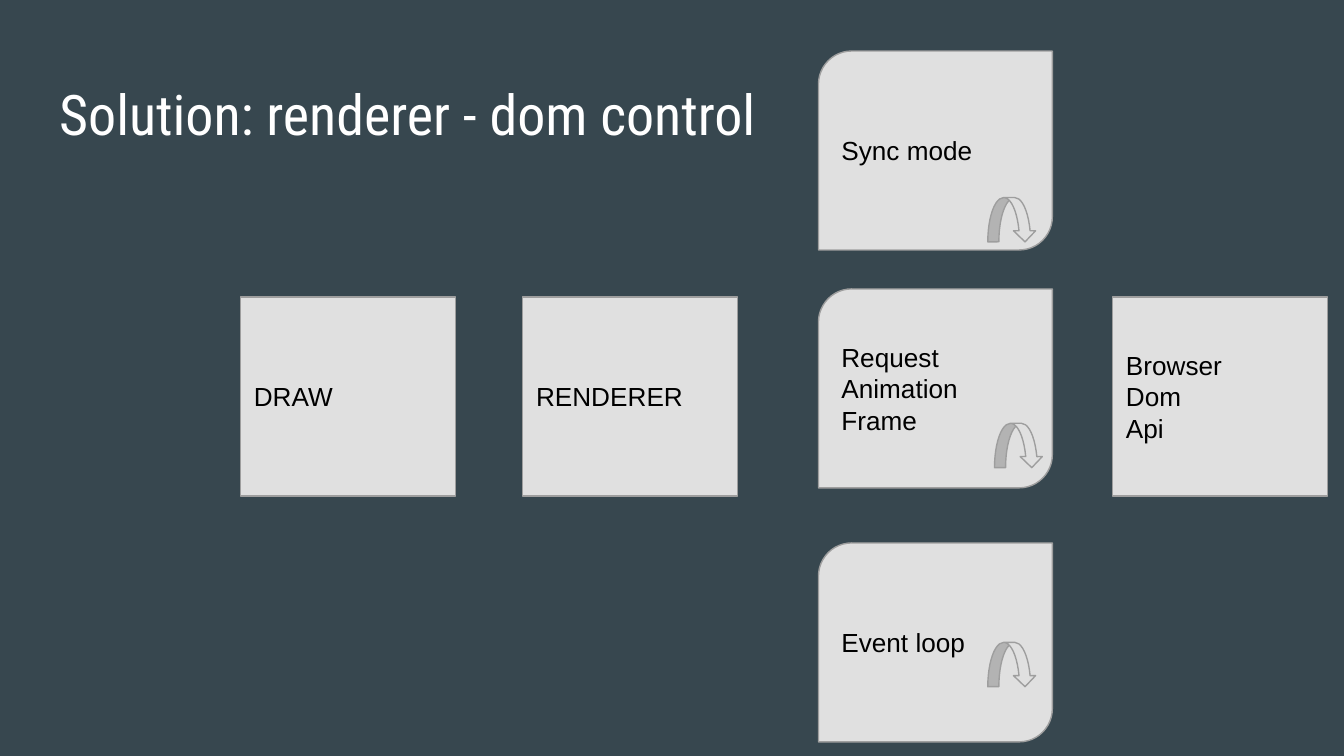
from pptx import Presentation
from pptx.dml.color import RGBColor
from pptx.enum.shapes import MSO_SHAPE as Shape
from pptx.enum.text import MSO_ANCHOR as Anchor, MSO_AUTO_SIZE as AutoSize, PP_ALIGN as Align
from pptx.util import Inches, Pt

BACKGROUND = RGBColor(0x37, 0x47, 0x4F)
BOX_FILL = RGBColor(0xE0, 0xE0, 0xE0)
BOX_LINE = RGBColor(0x9E, 0x9E, 0x9E)
WHITE = RGBColor(0xFF, 0xFF, 0xFF)
BLACK = RGBColor(0x00, 0x00, 0x00)

BOX_HEIGHT = 1.48
STAGE_WIDTH = 1.6
MODE_WIDTH = 1.74
MODE_LEFT = 6.09
STAGE_TOP = 2.21

STAGES = [(1.79, "DRAW"), (3.89, "RENDERER"), (8.28, "Browser\nDom \vApi")]
MODES = [
    (0.38, "Sync mode", 1.26, 1.09),
    (2.15, "Request\vAnimation\vFrame", 1.31, 1.0),
    (4.04, "Event loop", 1.26, 0.74),
]


def format_text(text_frame, anchor, font_name, size, color):
    """Set insets, anchor and font for all the paragraphs of a frame."""
    text_frame.word_wrap = True
    text_frame.auto_size = AutoSize.NONE
    text_frame.vertical_anchor = anchor
    text_frame.margin_left = text_frame.margin_right = Inches(0.1)
    text_frame.margin_top = text_frame.margin_bottom = Inches(0.1)
    for paragraph in text_frame.paragraphs:
        paragraph.alignment = Align.LEFT
        paragraph.font.name = font_name
        paragraph.font.size = Pt(size)
        paragraph.font.color.rgb = color


def add_title(slide, left, top, width, height):
    """Place the slide title in the title placeholder."""
    title = slide.shapes.title
    title.left, title.top = Inches(left), Inches(top)
    title.width, title.height = Inches(width), Inches(height)
    title.text_frame.text = "Solution: renderer - dom control"
    format_text(title.text_frame, Anchor.TOP, "Roboto Condensed", 30, WHITE)


def add_box(slide, kind, left, top, width, height, text=""):
    """Add a grey outlined shape, with a label if text is given."""
    shape = slide.shapes.add_shape(
        kind, Inches(left), Inches(top), Inches(width), Inches(height)
    )
    shape.shadow.inherit = False
    shape.fill.solid()
    shape.fill.fore_color.rgb = BOX_FILL
    shape.line.color.rgb = BOX_LINE
    shape.line.width = Pt(0.75)
    if text:
        shape.text_frame.text = text
        format_text(shape.text_frame, Anchor.MIDDLE, "Arial", 14, BLACK)


def add_mode(slide, left, top, text, arrow_x, arrow_y):
    """Add a scheduling mode with its loop arrow at an offset inside it."""
    add_box(slide, Shape.ROUND_2_DIAG_RECTANGLE, left, top, MODE_WIDTH, BOX_HEIGHT, text)
    add_box(slide, Shape.CURVED_DOWN_ARROW, left + arrow_x, top + arrow_y, 0.36, 0.33)


def main():
    """Build and save the presentation."""
    presentation = Presentation()
    presentation.slide_width = Inches(10)
    presentation.slide_height = presentation.slide_width * 9 // 16
    slide = presentation.slides.add_slide(presentation.slide_layouts[5])
    slide.background.fill.solid()
    slide.background.fill.fore_color.rgb = BACKGROUND

    add_title(slide, 0.34, 0.49, 9.32, 0.63)
    for left, text in STAGES:
        add_box(slide, Shape.RECTANGLE, left, STAGE_TOP, STAGE_WIDTH, BOX_HEIGHT, text)
    for top, text, arrow_x, arrow_y in MODES:
        add_mode(slide, MODE_LEFT, top, text, arrow_x, arrow_y)

    presentation.save("out.pptx")


if __name__ == "__main__":
    main()
